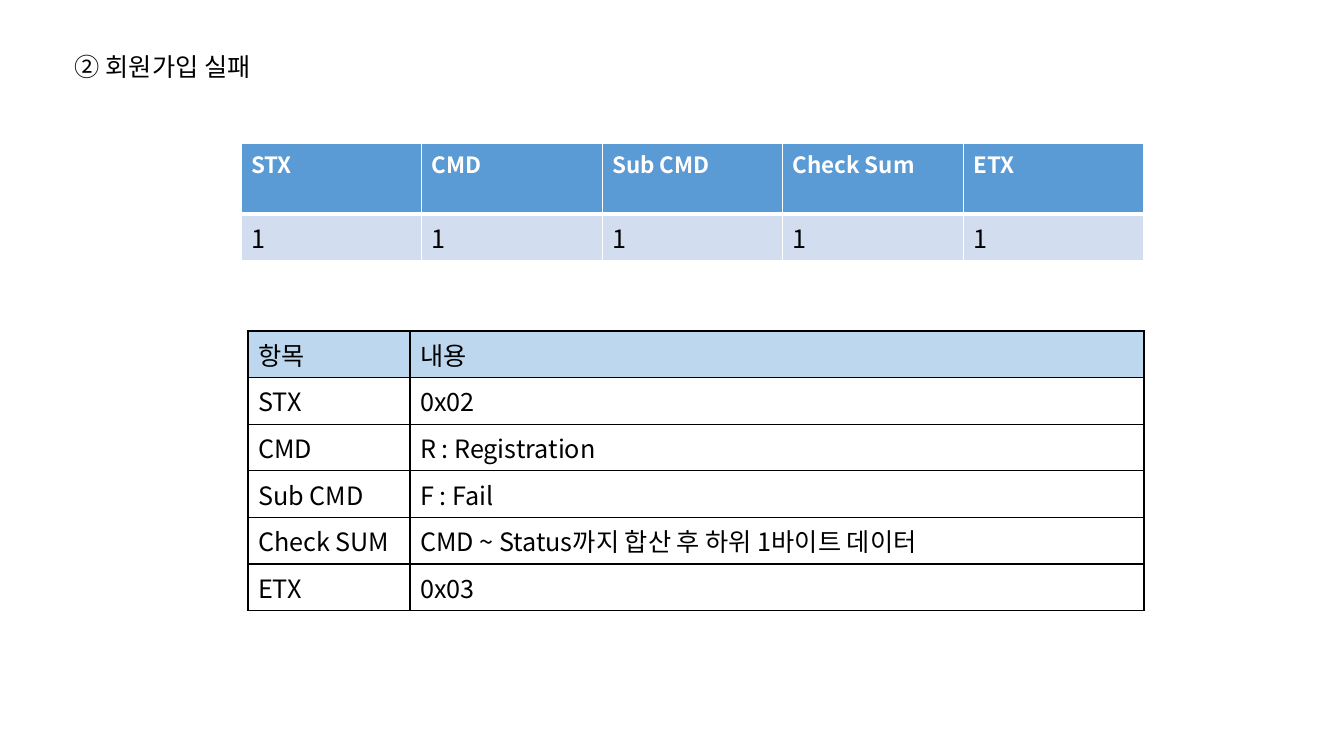
"""Build the slide that describes the registration failure packet."""
from pptx import Presentation
from pptx.dml.color import RGBColor as Rgb
from pptx.oxml.ns import qn
from pptx.util import Pt
from lxml.etree import SubElement as Sub

TITLE = "② 회원가입 실패"
PACKET = [
    ("STX", "CMD", "Sub CMD", "Check Sum", "ETX"),
    ("1", "1", "1", "1", "1"),
]
FIELDS = [
    ("항목", "내용"),
    ("STX", "0x02"),
    ("CMD", "R : Registration"),
    ("Sub CMD", "F : Fail"),
    ("Check SUM", "CMD ~ Status까지 합산 후 하위 1바이트 데이터"),
    ("ETX", "0x03"),
]
THEME = {
    "font": "Noto Sans CJK KR", "text": "000000", "white": "FFFFFF",
    "packet_head": "5B9BD5", "packet_body": "D2DEEF", "fields_head": "BDD7EE",
    "head_size": 16, "size": 18, "thin": 1, "thick": 3,
}
WIDTH, HEIGHT = 1344, 756
SCALE = 12192000 / WIDTH


def px(length):
    return round(length * SCALE)


def write(frame, words, size=THEME["size"], color=THEME["text"], bold=False):
    run = frame.paragraphs[0].add_run()
    run.text = words
    font = run.font
    font.name, font.size, font.bold = THEME["font"], Pt(size), bold
    font.color.rgb = Rgb.from_string(color)
    Sub(font._element, qn("a:ea"), typeface=THEME["font"])


def border(cell, color, widths):
    properties = cell._tc.get_or_add_tcPr()
    for side, width in zip("LRTB", widths):
        line = Sub(properties, qn(f"a:ln{side}"), w=str(Pt(width)))
        Sub(Sub(line, qn("a:solidFill")), qn("a:srgbClr"), val=color)


def paint(cell, color):
    if color:
        cell.fill.solid()
        cell.fill.fore_color.rgb = Rgb.from_string(color)
    else:
        cell.fill.background()


def add_grid(content, left, top, columns, heights, fills, line, rule, head):
    grid = slide.shapes.add_table(
        len(content), len(columns), px(left), px(top), px(sum(columns)), px(sum(heights))
    ).table
    grid.first_row = grid.horz_banding = False
    for column, width in zip(grid.columns, columns):
        column.width = px(width)
    for r, (row, height) in enumerate(zip(content, heights)):
        grid.rows[r].height = px(height)
        thin = THEME["thin"]
        widths = (thin, thin, rule if r == 1 else thin, rule if r == 0 else thin)
        for c, words in enumerate(row):
            cell = grid.cell(r, c)
            border(cell, line, widths)
            paint(cell, fills[min(r, 1)])
            write(cell.text_frame, words, **(head if r == 0 else {}))


deck = Presentation()
deck.slide_width, deck.slide_height = px(WIDTH), px(HEIGHT)
slide = deck.slides.add_slide(deck.slide_layouts[6])

add_grid(
    PACKET, 241, 143, [903 / 5] * 5, [71, 41],
    (THEME["packet_head"], THEME["packet_body"]), THEME["white"], THEME["thick"],
    {"size": THEME["head_size"], "color": THEME["white"], "bold": True},
)
add_grid(
    FIELDS, 248, 331, [162, 734], [41] * len(FIELDS),
    (THEME["fields_head"], None), THEME["text"], THEME["thin"], {},
)
title = slide.shapes.add_textbox(px(65), px(46), px(217), px(40)).text_frame
title.word_wrap = False
write(title, TITLE)

deck.save("out.pptx")
